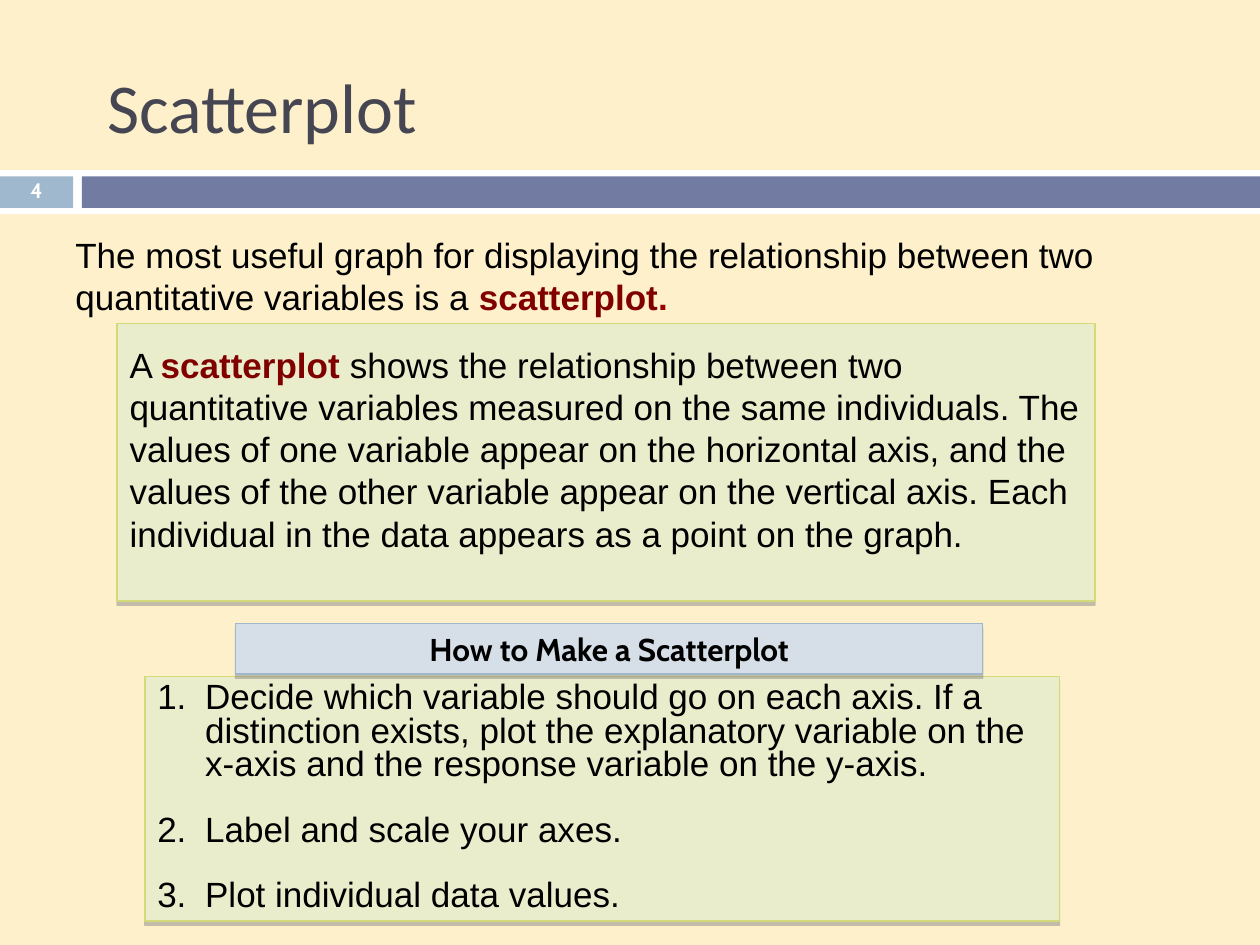
from lxml.etree import SubElement as Sub
from pptx import Presentation
from pptx.dml.color import RGBColor as Rgb
from pptx.enum.shapes import MSO_SHAPE as Shape
from pptx.enum.text import MSO_ANCHOR as Anchor, PP_ALIGN as Align
from pptx.oxml.ns import qn
from pptx.util import Inches, Pt

THEME = {
    "page": "FDF0CA", "white": "FFFFFF", "black": "000000",
    "sky": "9FB8CD", "band": "727CA3", "title": "464653",
    "green": "EAEDCB", "lime": "D2DA7A", "pale": "D6DFE8",
    "key": "800000", "dot": "990000", "shade": "808080",
    "body": "Arial", "head": "Calibri", "label": "Cabin",
    "big": 40, "text": 20, "sub": 18, "small": 12,
}

TITLE = "Scatterplot"
INTRO = [
    ("The most useful graph for displaying the relationship between two quantitative variables is a ", "black"),
    ("scatterplot", "key"),
    (".", "dot"),
]
MEANING = [
    ("A ", "black"),
    ("scatterplot ", "key"),
    ("shows the relationship between two quantitative variables measured on the same individuals. "
     "The values of one variable appear on the horizontal axis, and the values of the other variable "
     "appear on the vertical axis. Each individual in the data appears as a point on the graph.", "black"),
]
HOW = "How to Make a Scatterplot"
STEPS = [
    "Decide which variable should go on each axis. If a distinction exists, plot the explanatory "
    "variable on the x-axis and the response variable on the y-axis.",
    "Label and scale your axes.",
    "Plot individual data values.",
]
PAGE = "4"
BARS = [
    ((0, 1.35, 10, 0.35), "white"),
    ((0, 1.4, 0.58, 0.25), "sky"),
    ((0.65, 1.4, 9.35, 0.25), "band"),
]


def tint(name):
    return Rgb.from_string(THEME[name])


def place(box):
    return [Inches(n) for n in box]


def number(para):
    props = para._p.get_or_add_pPr()
    props.set("marL", str(Inches(0.38)))
    props.set("indent", str(-Inches(0.38)))
    Sub(props, qn("a:buFont"), typeface=THEME["body"])
    Sub(props, qn("a:buAutoNum"), type="arabicPeriod")


def write(shape, paras, font="body", size="text", bold=(), align=Align.LEFT,
          anchor=Anchor.TOP, top=0.05, space=None, after=0, listed=False):
    frame = shape.text_frame
    frame.word_wrap = True
    frame.vertical_anchor = anchor
    frame.margin_left = frame.margin_right = Inches(0.1)
    frame.margin_top, frame.margin_bottom = Inches(top), Inches(0.05)
    for i, runs in enumerate(paras):
        para = frame.add_paragraph() if i else frame.paragraphs[0]
        para.alignment = align
        para.space_before, para.space_after = Pt(0), Pt(after)
        if space:
            para.line_spacing = space
        if listed:
            number(para)
        for text, color in runs:
            run = para.add_run()
            run.text = text
            run.font.name = THEME[font]
            run.font.size = Pt(THEME[size])
            run.font.bold = color in bold
            run.font.color.rgb = tint(color)


def block(slide, box, fill, line=None):
    shape = slide.shapes.add_shape(Shape.RECTANGLE, *place(box))
    shape.shadow.inherit = False
    shape.fill.solid()
    shape.fill.fore_color.rgb = tint(fill)
    if line:
        shape.line.color.rgb = tint(line)
        shape.line.width = Pt(0.79)
        shade(shape)
    else:
        shape.line.fill.background()
    return shape


def shade(shape):
    effects = shape._element.spPr.find(qn("a:effectLst"))
    outer = Sub(effects, qn("a:outerShdw"), blurRad="0", dist=str(Pt(2.4)),
                dir="5400000", algn="ctr", rotWithShape="0")
    color = Sub(outer, qn("a:srgbClr"), val=THEME["shade"])
    Sub(color, qn("a:alpha"), val="45000")


def main():
    deck = Presentation()
    deck.slide_width, deck.slide_height = Inches(10), Inches(7.5)
    slide = deck.slides.add_slide(deck.slide_layouts[5])
    slide.background.fill.solid()
    slide.background.fill.fore_color.rgb = tint("page")

    for box, fill in BARS:
        block(slide, box, fill)

    title = slide.shapes.title
    title.left, title.top, title.width, title.height = place((0.75, 0.17, 8.5, 1.33))
    write(title, [[(TITLE, "title")]], font="head", size="big", anchor=Anchor.MIDDLE)

    intro = slide.shapes.add_textbox(*place((0.5, 1.8, 9.2, 1.02)))
    write(intro, [INTRO], bold=("key", "dot"))

    meaning = block(slide, (0.93, 2.57, 7.76, 2.2), "green", "lime")
    write(meaning, [MEANING], bold=("key",), top=0.16)

    steps = block(slide, (1.15, 5.37, 7.26, 1.94), "green", "lime")
    write(steps, [[(step, "black")] for step in STEPS], space=0.8, after=18, listed=True)

    how = block(slide, (1.87, 4.95, 5.93, 0.4), "pale", "sky")
    write(how, [[(HOW, "black")]], font="label", size="sub", bold=("black",), align=Align.CENTER)

    page = slide.shapes.add_textbox(*place((0, 1.39, 0.58, 0.27)))
    write(page, [[(PAGE, "white")]], font="label", size="small", bold=("white",),
          align=Align.CENTER, anchor=Anchor.MIDDLE, space=0.8)

    deck.save("out.pptx")


if __name__ == "__main__":
    main()
